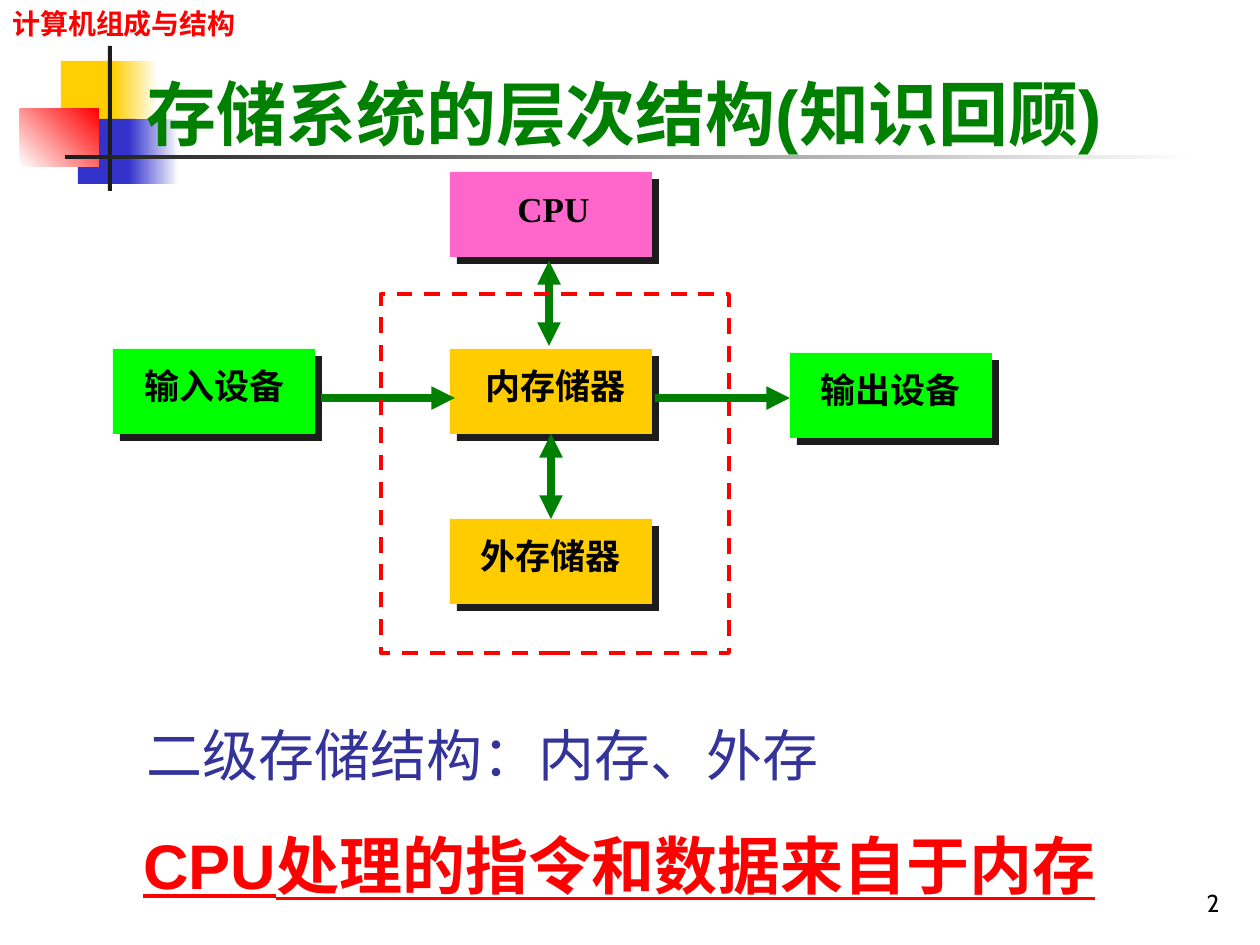
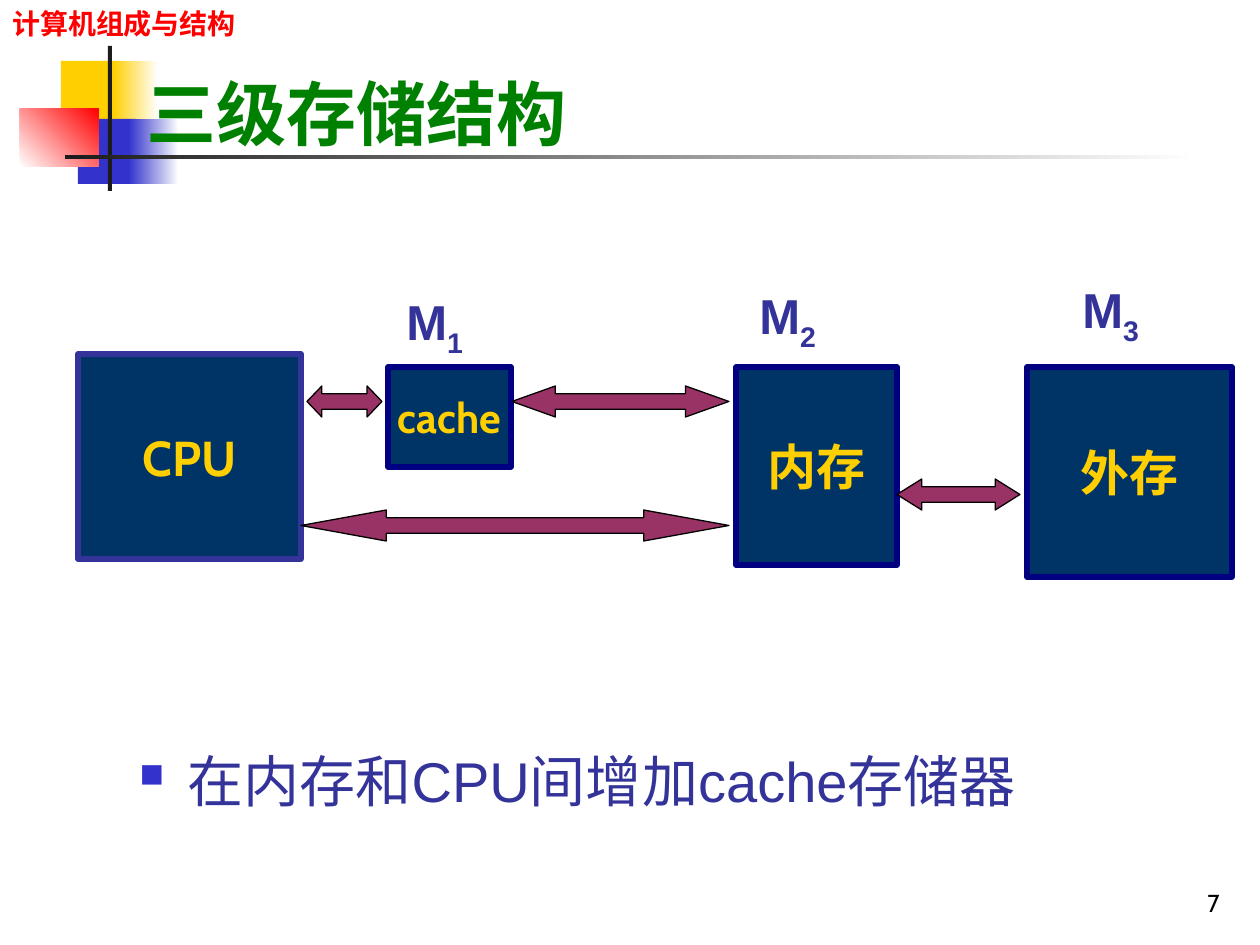
from collections import namedtuple
from dataclasses import dataclass

from lxml.etree import SubElement
from pptx import Presentation
from pptx.dml.color import RGBColor
from pptx.enum.dml import MSO_LINE_DASH_STYLE as Dash
from pptx.enum.shapes import MSO_CONNECTOR as Connector, MSO_SHAPE as Shape
from pptx.enum.text import MSO_ANCHOR as Anchor, PP_ALIGN as Align
from pptx.oxml.ns import qn
from pptx.util import Pt

EMU_PER_PX = 914400 / 126


@dataclass(frozen=True)
class Theme:
    sans: str = "Arial"
    label: str = "Cabin"
    serif: str = "Times New Roman"
    black: str = "000000"
    white: str = "FFFFFF"
    ink: str = "1C1C1C"
    red: str = "FF0000"
    gold: str = "FFCF01"
    blue: str = "3333CC"
    green: str = "008000"
    indigo: str = "333399"
    navy: str = "000080"
    block: str = "003366"
    plum: str = "993366"
    storage: str = "FFCC00"
    processor: str = "FF66CC"
    device: str = "00FF00"
    title_size: int = 40
    strong_size: int = 36
    body_size: int = 32
    block_size: int = 28
    cache_size: int = 24
    node_size: int = 20
    header_size: int = 16
    number_size: int = 14


THEME = Theme()


class Box(namedtuple("Box", "left top width height")):
    def inner(self, left, top, width, height):
        return Box(self.left + left, self.top + top, width, height)

    def emu(self):
        return [px(value) for value in self]


def px(value):
    return round(value * EMU_PER_PX)


def rgb(color):
    return RGBColor.from_string(color)


def style(para, size, color, font, bold=False, align=None):
    para.alignment = align
    para.font.size = Pt(size)
    para.font.name = font
    para.font.bold = bold
    para.font.color.rgb = rgb(color)


def add_square_bullet(para):
    props = para._p.get_or_add_pPr()
    props.set("marL", str(px(48)))
    props.set("indent", str(px(-48)))
    color = SubElement(props, qn("a:buClr"))
    SubElement(color, qn("a:srgbClr"), val=THEME.blue)
    SubElement(props, qn("a:buSzPct"), val="60000")
    SubElement(props, qn("a:buChar"), char="■")


def add_text(page, box, text, size, color, font=THEME.sans, bold=False,
             align=None, anchor=Anchor.TOP, bullet=False):
    frame = page.shapes.add_textbox(*box.emu()).text_frame
    frame.word_wrap = True
    frame.vertical_anchor = anchor
    para = frame.paragraphs[0]
    para.text = text
    if bullet:
        add_square_bullet(para)
    style(para, size, color, font, bold, align)
    return para


def add_shape(page, box, fill=None, line=None, line_width=1, kind=Shape.RECTANGLE):
    shape = page.shapes.add_shape(kind, *box.emu())
    shape.shadow.inherit = False
    if fill:
        shape.fill.solid()
        shape.fill.fore_color.rgb = rgb(fill)
    else:
        shape.fill.background()
    if line:
        shape.line.color.rgb = rgb(line)
        shape.line.width = Pt(line_width)
    else:
        shape.line.fill.background()
    return shape


def add_gradient(page, box, start, end, angle=0):
    fill = add_shape(page, box).fill
    fill.gradient()
    fill.gradient_angle = angle
    for stop, color in zip(fill.gradient_stops, (start, end)):
        stop.color.rgb = rgb(color)


def add_hard_shadow(shape):
    effects = shape._element.spPr.find(qn("a:effectLst"))
    shadow = SubElement(effects, qn("a:outerShdw"), blurRad="0",
                        dist=str(int(Pt(5.7))), dir="2700000", algn="ctr",
                        rotWithShape="0")
    SubElement(shadow, qn("a:srgbClr"), val=THEME.ink)


def add_arrow(page, box, start, end, both_ends=False):
    points = [px(value) for point in (start, end)
              for value in (box.left + point[0], box.top + point[1])]
    arrow = page.shapes.add_connector(Connector.STRAIGHT, *points)
    arrow.line.color.rgb = rgb(THEME.green)
    arrow.line.width = Pt(4.5)
    line = arrow._element.spPr.find(qn("a:ln"))
    for tag in ("a:headEnd", "a:tailEnd") if both_ends else ("a:tailEnd",):
        SubElement(line, qn(tag), type="triangle")
    SubElement(arrow._element.spPr, qn("a:effectLst"))
    return arrow


def draw_emblem(page, box):
    add_shape(page, box.inner(41, 15, 60, 65), THEME.gold)
    add_gradient(page, box.inner(93, 15, 45, 65), THEME.gold, THEME.white)
    add_shape(page, box.inner(58, 73, 58, 65), THEME.blue)
    add_gradient(page, box.inner(109, 73, 50, 65), THEME.blue, THEME.white)
    add_gradient(page, box.inner(0, 63, 79, 58), THEME.white, THEME.red, 45)
    add_shape(page, box.inner(88, 0, 4, 145), THEME.ink)
    add_gradient(page, box.inner(45, 109, 1134, 4), THEME.ink, THEME.white)


def draw_frame(page, box, title, number):
    draw_emblem(page, box.inner(20, 46, 1179, 145))
    add_text(page, box.inner(0, 0, 255, 47), "计算机组成与结构",
             THEME.header_size, THEME.red, THEME.label, bold=True)
    add_text(page, box.inner(970, 861, 262, 63), number, THEME.number_size,
             THEME.black, THEME.label, align=Align.RIGHT, anchor=Anchor.BOTTOM)
    add_text(page, box.inner(134, 55, 1062, 106), title, THEME.title_size,
             THEME.green, bold=True, anchor=Anchor.BOTTOM)


def draw_node(page, box, text, fill, label_left, label_width):
    node = add_shape(page, box, fill)
    add_hard_shadow(node)
    add_text(page, box.inner(label_left, 9, label_width, 55), text, THEME.node_size,
             THEME.black, THEME.serif, bold=True, align=Align.CENTER)
    return node


def draw_storage_hierarchy(page, box):
    nodes = {}
    for text, left, top, fill, label_left, label_width in (
        ("内存储器", 337, 177, THEME.storage, 10, 192),
        ("外存储器", 337, 347, THEME.storage, 0, 202),
        ("CPU", 337, 0, THEME.processor, 6, 195),
        ("输入设备", 0, 177, THEME.device, 2, 199),
        ("输出设备", 677, 181, THEME.device, 1, 199),
    ):
        nodes[text] = draw_node(page, box.inner(left, top, 202, 85), text, fill,
                                label_left, label_width)
    memory_link = add_arrow(page, box, (438, 262), (438, 347), both_ends=True)
    memory_link.begin_connect(nodes["内存储器"], 2)
    memory_link.end_connect(nodes["外存储器"], 0)
    add_arrow(page, box, (436, 89), (436, 174), both_ends=True)
    add_arrow(page, box, (208, 226), (342, 226))
    add_arrow(page, box, (542, 226), (677, 226))
    outline = add_shape(page, box.inner(268, 122, 348, 359), line=THEME.red, line_width=2.25)
    outline.line.dash_style = Dash.DASH


def draw_block(page, box, text, size, line):
    frame = add_shape(page, box, THEME.block, line, 3).text_frame
    frame.word_wrap = False
    frame.vertical_anchor = Anchor.MIDDLE
    para = frame.paragraphs[0]
    para.text = text
    style(para, size, THEME.gold, THEME.label, bold=True, align=Align.CENTER)


def draw_level_label(page, box, level):
    para = add_text(page, box, "M", THEME.block_size, THEME.indigo, bold=True)
    para.line_spacing = 0.8
    subscript = para.add_run()
    subscript.text = str(level)
    subscript._r.get_or_add_rPr().set("baseline", "-25000")


def draw_three_levels(page, box):
    for text, size, line, place in (
        ("CPU", THEME.block_size, THEME.indigo, (0, 74, 223, 205)),
        ("cache", THEME.cache_size, THEME.navy, (310, 87, 123, 100)),
        ("内存", THEME.block_size, THEME.navy, (658, 87, 161, 198)),
        ("外存", THEME.block_size, THEME.navy, (949, 87, 205, 210)),
    ):
        draw_block(page, box.inner(*place), text, size, line)
    for left, top, width, head in (
        (223, 230, 428, 2.75),
        (819, 199, 123, 0.8),
        (434, 106, 217, 1.4),
        (229, 106, 75, 0.48),
    ):
        arrow = add_shape(page, box.inner(left, top, width, 31), THEME.plum,
                          THEME.black, 0.75, Shape.LEFT_RIGHT_ARROW)
        arrow.adjustments[0] = 0.5
        arrow.adjustments[1] = head
    for level, (left, top) in enumerate(((316, 12), (669, 6), (992, 0)), 1):
        draw_level_label(page, box.inner(left, top, 130, 87), level)


def build_review_slide(page, box):
    draw_frame(page, box, "存储系统的层次结构(知识回顾)", "2")
    add_text(page, box.inner(134, 714, 925, 100), "二级存储结构：内存、外存",
             THEME.body_size, THEME.indigo)
    draw_storage_hierarchy(page, box.inner(113, 172, 879, 481))
    para = add_text(page, box.inner(84, 820, 1071, 69), "CPU处理的指令和数据来自于内存",
                    THEME.strong_size, THEME.red, bold=True, align=Align.CENTER)
    para.font.underline = True


def build_three_level_slide(page, box):
    draw_frame(page, box, "三级存储结构", "7")
    add_text(page, box.inner(127, 740, 1071, 112), "在内存和CPU间增加cache存储器",
             THEME.body_size, THEME.indigo, bullet=True)
    draw_three_levels(page, box.inner(78, 280, 1154, 297))


def main():
    deck = Presentation()
    canvas = Box(0, 0, 1260, 945)
    deck.slide_width, deck.slide_height = px(canvas.width), px(canvas.height)
    for build in (build_review_slide, build_three_level_slide):
        build(deck.slides.add_slide(deck.slide_layouts[6]), canvas)
    deck.save("out.pptx")


if __name__ == "__main__":
    main()
